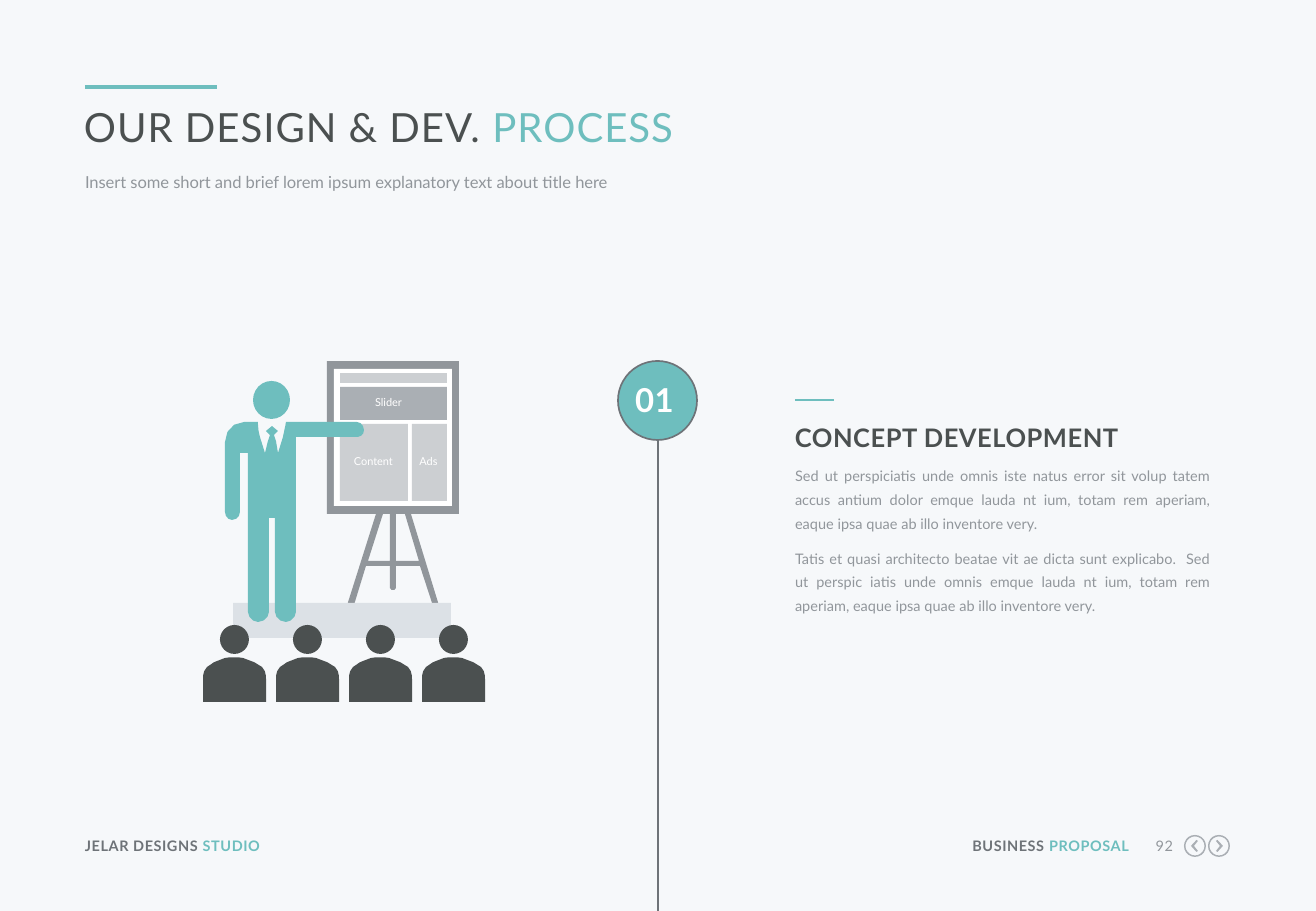
from lxml import etree
from pptx import Presentation
from pptx.dml.color import RGBColor
from pptx.enum.shapes import MSO_CONNECTOR, MSO_SHAPE
from pptx.enum.text import PP_ALIGN as Align
from pptx.oxml.ns import qn
from pptx.util import Pt
from math import cos, pi, sin

PX = 914400 / 121.5
FINE = 100
CURVE_STEPS = 3
RING_SIDES = 20
FONT = "Lato"

BACKDROP = RGBColor(0xF6, 0xF8, 0xFA)
TEAL = RGBColor(0x6E, 0xBE, 0xBE)
CHARCOAL = RGBColor(0x4B, 0x50, 0x50)
SLATE = RGBColor(0x6E, 0x73, 0x78)
GRAY = RGBColor(0x91, 0x96, 0x9B)
SILVER = RGBColor(0xAA, 0xAF, 0xB4)
PALE = RGBColor(0xCC, 0xCF, 0xD2)
MIST = RGBColor(0xDC, 0xE1, 0xE6)
WHITE = RGBColor(0xFF, 0xFF, 0xFF)

SLIDE_SIZE = (1316, 911)
CONCEPT = [
    "Sed ut perspiciatis unde omnis iste natus error sit volup tatem accus antium dolor emque "
    "lauda nt ium, totam rem aperiam, eaque ipsa quae ab illo inventore very.",
    "Tatis et quasi architecto beatae vit ae dicta sunt explicabo.  Sed ut perspic iatis unde omnis "
    "emque lauda nt ium, totam rem aperiam, eaque ipsa quae ab illo inventore very.",
]

TEXTS = [
    ((85, 837, 256, 18), [[("JELAR DESIGNS ", SLATE), ("STUDIO", TEAL)]], 8.67,
     dict(bold=True, tracking=30)),
    ((962, 837, 167, 18), [[("BUSINESS ", SLATE), ("PROPOSAL", TEAL)]], 8.67,
     dict(bold=True, tracking=30, align=Align.RIGHT)),
    ((1143, 837, 30, 18), [[("92", GRAY)]], 8.67, dict(tracking=30, align=Align.RIGHT)),
    ((84, 102, 1145, 50), [[("OUR DESIGN & DEV. ", CHARCOAL), ("PROCESS", TEAL)]], 23.83,
     dict(tracking=54)),
    ((85, 170, 1145, 26),
     [[("Insert some short and brief lorem ipsum explanatory text about title here", GRAY)]], 9.75,
     dict(leading=13)),
    ((631, 380, 47, 40), [[("01", WHITE)]], 19.5,
     dict(bold=True, tracking=20, align=Align.CENTER)),
    ((795, 461, 416, 156), [[(words, GRAY)] for words in CONCEPT], 8.67,
     dict(leading=14.1, after=6.5, align=Align.JUSTIFY)),
    ((795, 422, 418, 30), [[("CONCEPT DEVELOPMENT", CHARCOAL)]], 15.17,
     dict(bold=True, tracking=30, leading=18.4, after=6.5)),
]
RULES = [
    ((85, 87), (217, 87), TEAL, 2.25),
    ((658, 440), (658, 911), SLATE, 1),
    ((795, 400), (834, 400), TEAL, 1.5),
]

EASEL = [
    [(327, 361), (459, 361), (459, 514), (411, 514), (441, 612), (441, 617, 437, 617, 436, 615),
     (420, 566), (396, 566), (396, 588), (396, 591, 390, 591, 390, 588), (390, 566), (366, 566),
     (351, 615), (350, 617, 344, 617, 345, 612), (376, 514), (327, 514)],
    [(368, 561), (383, 514), (390, 514), (390, 561)],
    [(419, 561), (396, 561), (396, 514), (405, 514)],
]
PLATFORM = (233, 603, 218, 35)
SHEET = (334, 369, 118, 137)
PANELS = [
    ((340, 373, 107, 10), PALE),
    ((340, 387, 107, 33), SILVER),
    ((412, 424, 35, 77), PALE),
    ((340, 424, 68, 77), PALE),
]
PANEL_LABELS = [
    ((360, 396, 57, 13), "Slider"),
    ((345, 455, 57, 13), "Content"),
    ((411, 455, 35, 13), "Ads"),
]
LISTENERS, LISTENER_PITCH = 4, 73
LISTENER_HEAD = (220, 625, 29, 29)
LISTENER_BODY = [
    (266, 702), (266, 679), (266, 676, 266, 671, 262, 667), (255, 661, 244, 659, 243, 658),
    (242, 657, 226, 657, 225, 658), (224, 659, 213, 661, 207, 667),
    (203, 671, 203, 676, 203, 679), (203, 702)]
PRESENTER_HEAD = (253, 381, 37, 38)
PRESENTER_BODY = [
    (357, 422), (286, 422), (286, 424, 284, 431, 283, 437), (278, 453), (276, 441), (274, 435),
    (278, 431), (272, 426), (266, 431), (270, 435), (268, 441), (265, 453), (260, 437),
    (258, 431, 258, 424, 258, 422), (244, 422),
    (233, 422, 225, 431, 225, 442), (225, 512), (225, 516, 228, 520, 232, 520),
    (237, 520, 240, 516, 240, 512), (240, 453), (248, 453), (248, 612),
    (248, 617, 253, 622, 258, 622), (264, 622, 269, 617, 269, 612), (269, 518), (275, 518),
    (275, 612), (275, 617, 280, 622, 286, 622), (291, 622, 296, 617, 296, 612), (296, 437),
    (358, 437), (362, 436, 364, 434, 364, 430), (364, 426, 361, 422, 357, 422)]

STEP_BADGE = (618, 361, 79, 79)
NAV_BUTTONS = [((1219, 846), 1), ((1195, 846), -1)]
NAV_RADII = (11, 9.5)
CHEVRON = [(-3, -5), (-1.5, -6), (4, 0), (-1.5, 6), (-3, 5), (1, 0)]


def emu(*lengths):
    return [round(length * PX) for length in lengths]


def paint(shape, fill, line=None, width=1):
    shape.shadow.inherit = False
    shape.fill.solid()
    shape.fill.fore_color.rgb = fill
    if line is None:
        shape.line.fill.background()
    else:
        shape.line.color.rgb = line
        shape.line.width = Pt(width)


def add_preset(shapes, kind, box, *style):
    paint(shapes.add_shape(kind, *emu(*box)), *style)


def flatten(contour):
    points = []
    for step in contour:
        if len(step) == 2:
            points.append(step)
            continue
        curve = [points[-1], step[:2], step[2:4], step[4:]]
        for i in range(1, CURVE_STEPS + 1):
            t = i / CURVE_STEPS
            weights = ((1 - t) ** 3, 3 * t * (1 - t) ** 2, 3 * t * t * (1 - t), t ** 3)
            points.append(tuple(sum(w * p[axis] for w, p in zip(weights, curve))
                                for axis in (0, 1)))
    return [(x * FINE, y * FINE) for x, y in points]


def add_outline(shapes, contours, fill):
    first, *holes = [flatten(contour) for contour in contours]
    outline = shapes.build_freeform(*first[0], scale=PX / FINE)
    outline.add_line_segments(first[1:], close=True)
    for hole in holes:
        outline.move_to(*hole[0])
        outline.add_line_segments(hole[1:], close=True)
    paint(outline.convert_to_shape(), fill)


def add_text(shapes, box, paragraphs, size, bold=False, tracking=0, align=Align.LEFT,
             leading=None, after=0):
    frame = shapes.add_textbox(*emu(*box)).text_frame
    frame.word_wrap = True
    frame.margin_left = frame.margin_top = frame.margin_right = frame.margin_bottom = 0
    for i, pieces in enumerate(paragraphs):
        paragraph = frame.add_paragraph() if i else frame.paragraphs[0]
        paragraph.alignment = align
        paragraph.space_after = Pt(after)
        if leading:
            paragraph.line_spacing = Pt(leading)
        for words, colour in pieces:
            run = paragraph.add_run()
            run.text = words
            run.font.name, run.font.size, run.font.bold = FONT, Pt(size), bold
            run.font.color.rgb = colour
            if tracking:
                run._r.get_or_add_rPr().set("spc", str(tracking))


def add_rule(shapes, start, end, colour, width):
    rule = shapes.add_connector(MSO_CONNECTOR.STRAIGHT, *emu(*start, *end))
    rule.line.color.rgb = colour
    rule.line.width = Pt(width)
    etree.SubElement(rule._element.spPr, qn("a:effectLst"))


def add_nav_button(shapes, centre, direction):
    cx, cy = centre
    angles = [2 * pi * side / RING_SIDES for side in range(RING_SIDES)]
    rings = [[(cx + r * cos(a), cy + r * sin(a)) for a in angles] for r in NAV_RADII]
    chevron = [(cx + direction * x, cy + y) for x, y in CHEVRON]
    add_outline(shapes, [*rings, chevron], SILVER)


def add_illustration(shapes):
    add_outline(shapes, EASEL, GRAY)
    add_preset(shapes, MSO_SHAPE.RECTANGLE, PLATFORM, MIST)
    add_preset(shapes, MSO_SHAPE.RECTANGLE, SHEET, WHITE)
    for box, fill in PANELS:
        add_preset(shapes, MSO_SHAPE.RECTANGLE, box, fill)
    for box, label in PANEL_LABELS:
        add_text(shapes, box, [[(label, WHITE)]], 6.5, align=Align.CENTER)
    for seat in range(LISTENERS):
        shift = seat * LISTENER_PITCH
        left, *rest = LISTENER_HEAD
        add_preset(shapes, MSO_SHAPE.OVAL, (left + shift, *rest), CHARCOAL)
        body = [tuple(v + shift * (i % 2 == 0) for i, v in enumerate(step))
                for step in LISTENER_BODY]
        add_outline(shapes, [body], CHARCOAL)
    add_preset(shapes, MSO_SHAPE.OVAL, PRESENTER_HEAD, TEAL)
    add_outline(shapes, [PRESENTER_BODY], TEAL)


def main():
    deck = Presentation()
    deck.slide_width, deck.slide_height = emu(*SLIDE_SIZE)
    slide = deck.slides.add_slide(deck.slide_layouts[6])
    slide.background.fill.solid()
    slide.background.fill.fore_color.rgb = BACKDROP
    shapes = slide.shapes
    for rule in RULES:
        add_rule(shapes, *rule)
    for centre, direction in NAV_BUTTONS:
        add_nav_button(shapes, centre, direction)
    add_preset(shapes, MSO_SHAPE.OVAL, STEP_BADGE, TEAL, SLATE)
    for box, paragraphs, size, options in TEXTS:
        add_text(shapes, box, paragraphs, size, **options)
    add_illustration(shapes.add_group_shape().shapes)
    deck.save("out.pptx")


if __name__ == "__main__":
    main()
